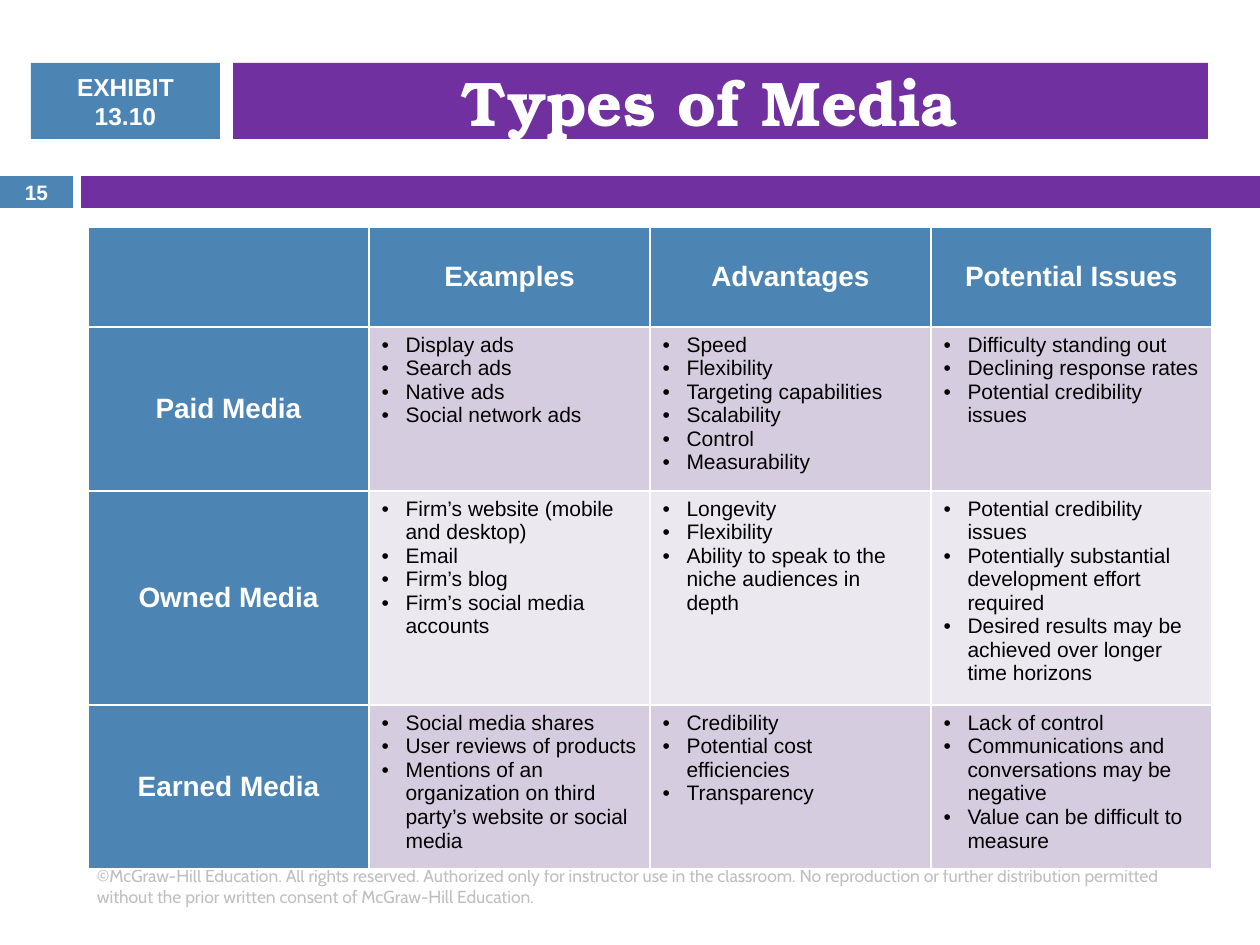
"""Build the Types of Media exhibit slide."""
import pptx
import pptx.dml.color
import pptx.enum.shapes
import pptx.enum.text
import pptx.oxml
import pptx.oxml.ns
import pptx.util

RGBColor = pptx.dml.color.RGBColor
ALIGN = pptx.enum.text.PP_ALIGN
ANCHOR = pptx.enum.text.MSO_ANCHOR

BLUE = RGBColor(0x4C, 0x85, 0xB4)
PURPLE = RGBColor(0x70, 0x30, 0xA0)
WHITE = RGBColor(0xFF, 0xFF, 0xFF)
BLACK = RGBColor(0x00, 0x00, 0x00)
GREY = RGBColor(0xBF, 0xBF, 0xBF)
BANDS = [RGBColor(0xD5, 0xCD, 0xDF), RGBColor(0xEB, 0xE8, 0xF0)]

SCALE = 914400 / 126
INSET = 13
INDENT = 24

TITLE = "Types of Media"
EXHIBIT = "EXHIBIT 13.10"
PAGE = "15"
COPYRIGHT = (
    "©McGraw-Hill Education. All rights reserved. Authorized only for instructor "
    "use in the classroom. No reproduction or further distribution permitted "
    "without the prior written consent of McGraw-Hill Education."
)

HEADINGS = ["", "Examples", "Advantages", "Potential Issues"]
MEDIA = [
    ("Paid Media", [
        ["Display ads", "Search ads", "Native ads", "Social network ads"],
        ["Speed", "Flexibility", "Targeting capabilities", "Scalability",
         "Control", "Measurability"],
        ["Difficulty standing out", "Declining response rates",
         "Potential credibility issues"],
    ]),
    ("Owned Media", [
        ["Firm’s website (mobile and desktop)", "Email", "Firm’s blog",
         "Firm’s social media accounts"],
        ["Longevity", "Flexibility",
         "Ability to speak to the niche audiences in depth"],
        ["Potential credibility issues",
         "Potentially substantial development effort required",
         "Desired results may be achieved over longer time horizons"],
    ]),
    ("Earned Media", [
        ["Social media shares", "User reviews of products",
         "Mentions of an organization on third party’s website or social media"],
        ["Credibility", "Potential cost efficiencies", "Transparency"],
        ["Lack of control", "Communications and conversations may be negative",
         "Value can be difficult to measure"],
    ]),
]

TABLE_BOX = (88, 227, 1124, 608)
ROW_HEIGHTS = [100, 154, 200, 154]


def px(value):
    return pptx.util.Emu(round(value * SCALE))


def style(paragraph, size, color, bold=True, name="Arial", align=ALIGN.CENTER):
    paragraph.alignment = align
    font = paragraph.font
    font.size = pptx.util.Pt(size)
    font.name = name
    font.bold = bold
    font.color.rgb = color
    paragraph._p.get_or_add_endParaRPr().set("sz", str(round(size * 100)))


def write(shape, text, size, color, left=INSET, right=INSET, **options):
    frame = shape.text_frame
    frame.word_wrap = True
    frame.vertical_anchor = ANCHOR.MIDDLE
    frame.margin_left, frame.margin_right = px(left), px(right)
    frame.text = text
    style(frame.paragraphs[0], size, color, **options)


def add_bar(slide, box, color):
    shape = slide.shapes.add_shape(
        pptx.enum.shapes.MSO_SHAPE.RECTANGLE, *map(px, box))
    shape.shadow.inherit = False
    shape.fill.solid()
    shape.fill.fore_color.rgb = color
    shape.line.fill.background()
    return shape


def paint_cell(cell, color):
    properties = cell._tc.get_or_add_tcPr()
    for side in ("lnL", "lnR", "lnT", "lnB"):
        properties.append(pptx.oxml.parse_xml(
            f'<a:{side} {pptx.oxml.ns.nsdecls("a")} w="12700"><a:solidFill>'
            f'<a:srgbClr val="{WHITE}"/></a:solidFill></a:{side}>'))
    cell.fill.solid()
    cell.fill.fore_color.rgb = color


def fill_heading(cell, text):
    paint_cell(cell, BLUE)
    cell.vertical_anchor = ANCHOR.MIDDLE
    cell.text = text
    style(cell.text_frame.paragraphs[0], 16, WHITE)


def fill_bullets(cell, items, color):
    paint_cell(cell, color)
    cell.text = "\n".join(items)
    for paragraph in cell.text_frame.paragraphs:
        properties = paragraph._p.get_or_add_pPr()
        properties.set("marL", str(px(INDENT)))
        properties.set("indent", str(-px(INDENT)))
        namespace = pptx.oxml.ns.nsdecls("a")
        properties.append(pptx.oxml.parse_xml(
            f'<a:buFont {namespace} typeface="Arial"/>'))
        properties.append(pptx.oxml.parse_xml(
            f'<a:buChar {namespace} char="•"/>'))
        style(paragraph, 12, BLACK, bold=False, align=ALIGN.LEFT)


def add_media_table(slide):
    table = slide.shapes.add_table(
        len(ROW_HEIGHTS), len(HEADINGS), *map(px, TABLE_BOX)).table
    for column in table.columns:
        column.width = px(TABLE_BOX[2] / len(HEADINGS))
    for row, height in zip(table.rows, ROW_HEIGHTS):
        row.height = px(height)
    for index, heading in enumerate(HEADINGS):
        fill_heading(table.cell(0, index), heading)
    for row, (name, lists) in enumerate(MEDIA, 1):
        fill_heading(table.cell(row, 0), name)
        for column, items in enumerate(lists, 1):
            fill_bullets(table.cell(row, column), items, BANDS[(row - 1) % 2])


def main():
    presentation = pptx.Presentation()
    presentation.slide_width = px(1260)
    presentation.slide_height = px(945)
    slide = presentation.slides.add_slide(presentation.slide_layouts[6])
    add_bar(slide, (81, 176, 1179, 32), PURPLE)
    page = add_bar(slide, (0, 176, 73, 32), BLUE)
    write(page, PAGE, 11.9, WHITE)
    exhibit = add_bar(slide, (31, 63, 189, 76), BLUE)
    write(exhibit, EXHIBIT, 14, WHITE, left=20, right=20)
    title = add_bar(slide, (233, 63, 975, 76), PURPLE)
    write(title, TITLE, 36, WHITE, right=35, name="TeX Gyre Bonum")
    footer = slide.shapes.add_textbox(*map(px, (84, 861, 1124, 50)))
    write(footer, COPYRIGHT, 10, GREY, bold=False, name="Cabin", align=ALIGN.LEFT)
    add_media_table(slide)
    presentation.save("out.pptx")


if __name__ == "__main__":
    main()
